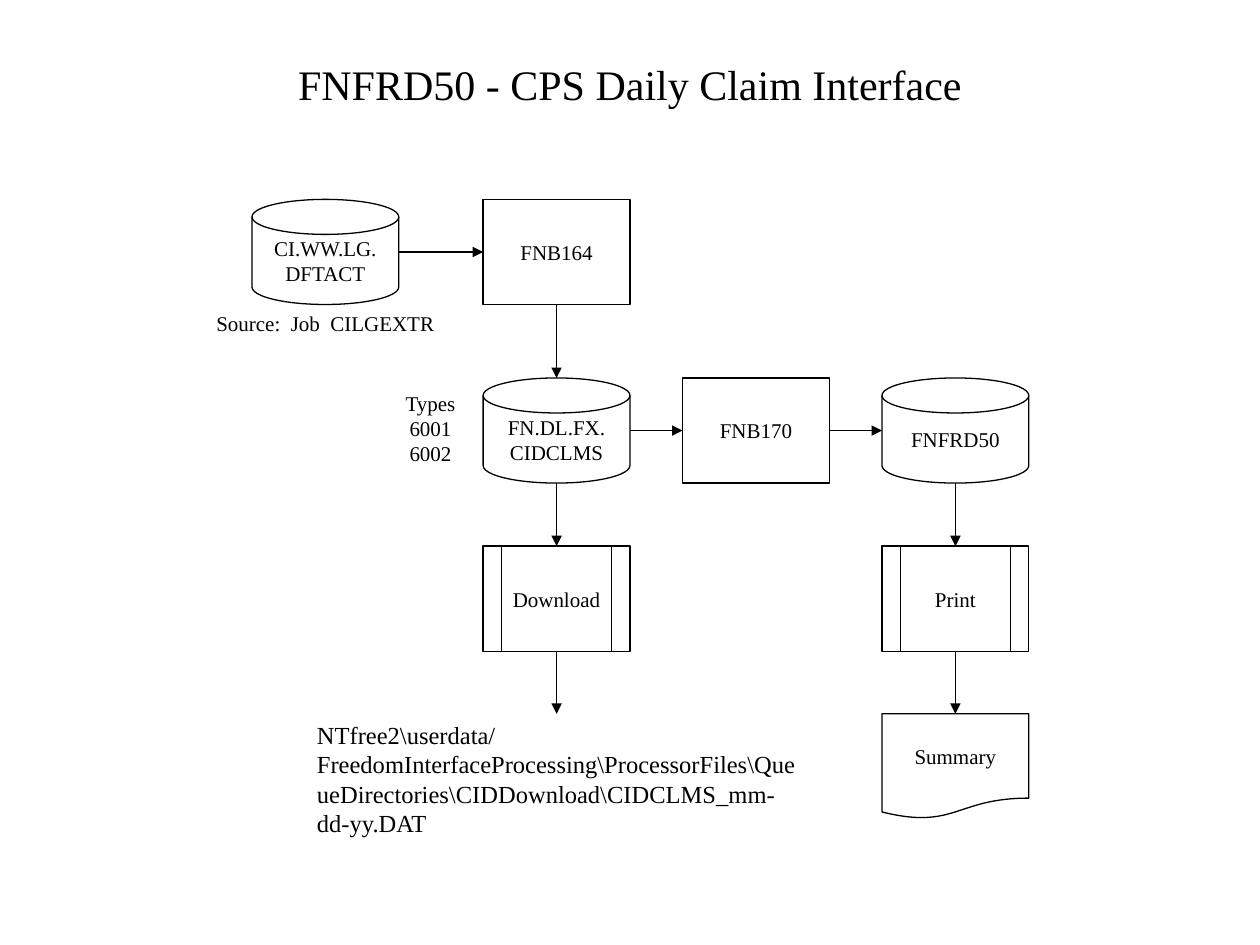
from lxml import etree
from pptx import Presentation
from pptx import util as u
from pptx.dml.color import RGBColor
from pptx.enum import shapes, text
from pptx.oxml.ns import qn

BLACK = RGBColor(0, 0, 0)
WHITE = RGBColor(255, 255, 255)
FONT = "Times New Roman"
LINE_WIDTH = u.Pt(0.74)

# Content: step name -> (kind, column, row, lines)
KINDS = {
    "disk": shapes.MSO_SHAPE.FLOWCHART_MAGNETIC_DISK,
    "process": shapes.MSO_SHAPE.FLOWCHART_PROCESS,
    "job": shapes.MSO_SHAPE.FLOWCHART_PREDEFINED_PROCESS,
    "document": shapes.MSO_SHAPE.FLOWCHART_DOCUMENT,
}
STEPS = {
    "extract": ("disk", 0, 0, ["CI.WW.LG.", "DFTACT"]),
    "select": ("process", 1, 0, ["FNB164"]),
    "claims": ("disk", 1, 1, ["FN.DL.FX.", "CIDCLMS"]),
    "format": ("process", 2, 1, ["FNB170"]),
    "report": ("disk", 3, 1, ["FNFRD50"]),
    "download": ("job", 1, 2, ["Download"]),
    "print": ("job", 3, 2, ["Print"]),
    "summary": ("document", 3, 3, ["Summary"]),
}
# Arrows between (column, row) cells
ARROWS = [
    ((0, 0), (1, 0)), ((1, 0), (1, 1)), ((1, 1), (2, 1)), ((2, 1), (3, 1)),
    ((1, 1), (1, 2)), ((1, 2), (1, 3)), ((3, 1), (3, 2)), ((3, 2), (3, 3)),
]
# Labels: left, top, width, height in cm, size, alignment, anchor, lines
CENTER, LEFT = text.PP_ALIGN.CENTER, text.PP_ALIGN.LEFT
TOP, MIDDLE = text.MSO_ANCHOR.TOP, text.MSO_ANCHOR.MIDDLE
LABELS = [
    (1.9, 1.06, 21.6, 1.27, 24, CENTER, MIDDLE,
     ["FNFRD50 - CPS Daily Claim Interface"]),
    (4.02, 6.14, 5.08, 0.76, 12, CENTER, TOP, ["Source:  Job  CILGEXTR"]),
    (7.62, 7.74, 2.12, 1.78, 12, CENTER, TOP, ["Types", "6001", "6002"]),
    (6.14, 14.39, 10.16, 2.64, 14, LEFT, TOP,
     ["NTfree2\\userdata/FreedomInterfaceProcessing\\ProcessorFiles"
      "\\QueueDirectories\\CIDDownload\\CIDCLMS_mm-dd-yy.DAT"]),
]

# Grid in cm
COLS = [5.08, 9.74, 13.76, 17.78]
ROWS = [4.02, 7.62, 11.01, 14.39]
BOX_W, BOX_H = 2.96, 2.12


def write(sp, lines, size, align, anchor, wrap):
    tf = sp.text_frame
    tf.text = "\n".join(lines)
    frame = {"word_wrap": wrap, "vertical_anchor": anchor}
    for name, value in frame.items():
        setattr(tf, name, value)
    font = {"name": FONT, "size": u.Pt(size)}
    for p in tf.paragraphs:
        p.alignment = align
        for r in p.runs:
            for name, value in font.items():
                setattr(r.font, name, value)
            r.font.color.rgb = BLACK


def outline(sp):
    sp.line.color.rgb = BLACK
    sp.line.width = LINE_WIDTH


def add_arrow(s, start, end):
    (c1, r1), (c2, r2) = start, end
    if r1 == r2:
        y = ROWS[r1] + BOX_H / 2
        ends = (COLS[c1] + BOX_W, y, COLS[c2], y)
    else:
        x = COLS[c1] + BOX_W / 2
        ends = (x, ROWS[r1] + BOX_H, x, ROWS[r2])
    cx = s.shapes.add_connector(shapes.MSO_CONNECTOR.STRAIGHT, *map(u.Cm, ends))
    outline(cx)
    etree.SubElement(cx.line._get_or_add_ln(), qn("a:tailEnd"), type="triangle")
    etree.SubElement(cx._element.spPr, qn("a:effectLst"))


prs = Presentation()
prs.slide_width, prs.slide_height = u.Cm(25.4), u.Cm(19.05)
s = prs.slides.add_slide(prs.slide_layouts[6])

# Title and labels
for left, top, width, height, size, align, anchor, lines in LABELS:
    sp = s.shapes.add_textbox(*map(u.Cm, (left, top, width, height)))
    write(sp, lines, size, align, anchor, True)

# Flowchart steps
for kind, col, row, lines in STEPS.values():
    box = (COLS[col], ROWS[row], BOX_W, BOX_H)
    sp = s.shapes.add_shape(KINDS[kind], *map(u.Cm, box))
    sp.shadow.inherit = False
    if kind == "document":
        sp.fill.background()
    else:
        sp.fill.solid()
        sp.fill.fore_color.rgb = WHITE
    outline(sp)
    write(sp, lines, 12, CENTER, MIDDLE, False)

# Flow arrows
for start, end in ARROWS:
    add_arrow(s, start, end)

prs.save("out.pptx")
